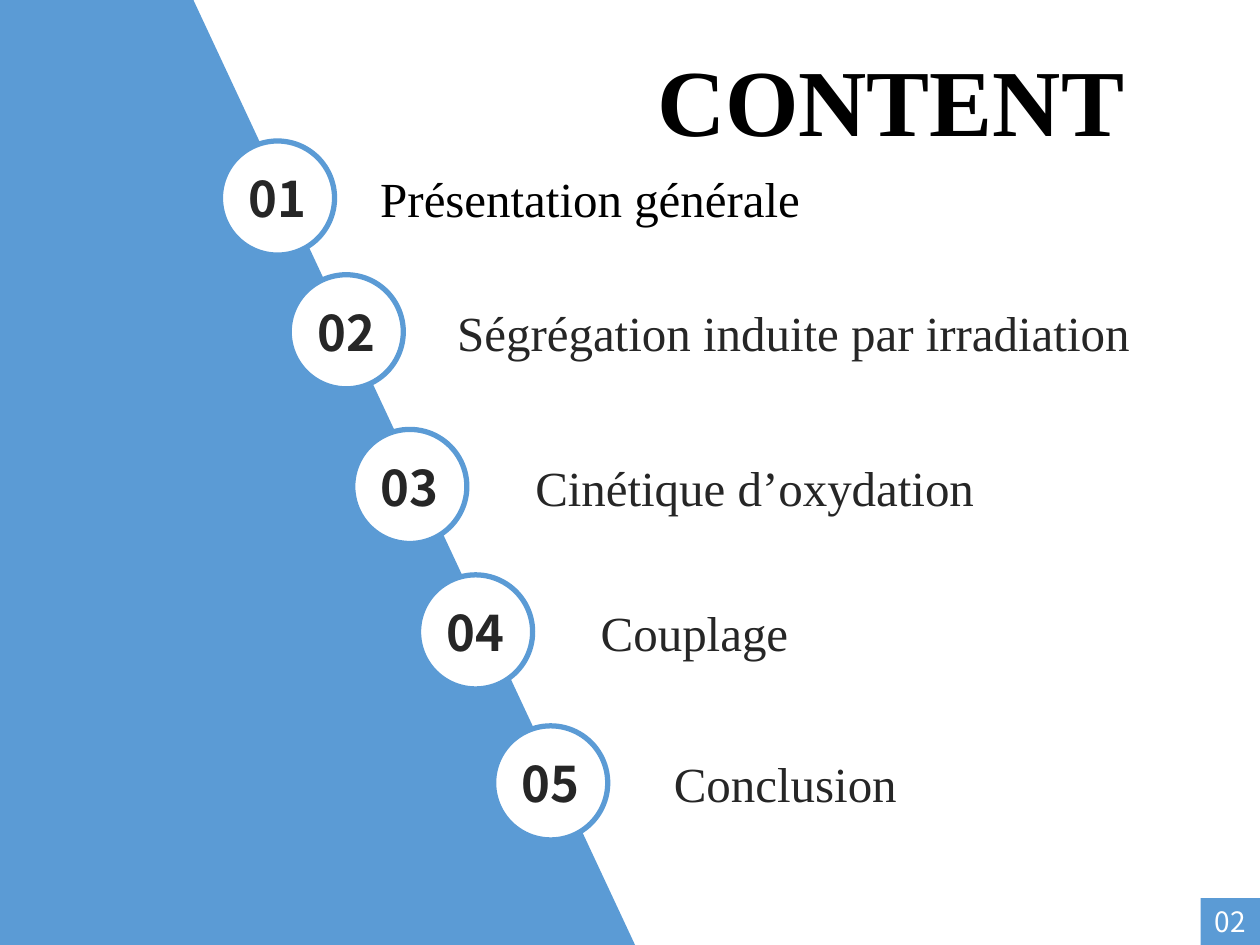
from dataclasses import dataclass

from pptx import Presentation
from pptx.dml.color import RGBColor as RGB
from pptx.enum.shapes import MSO_SHAPE as Kind
from pptx.enum.text import MSO_ANCHOR as Anchor, MSO_AUTO_SIZE as Fit, PP_ALIGN as Align
from pptx.util import Pt


@dataclass(frozen=True)
class Theme:
    blue: RGB = RGB(0x5B, 0x9B, 0xD5)
    dark: RGB = RGB(0x26, 0x26, 0x26)
    black: RGB = RGB(0, 0, 0)
    white: RGB = RGB(0xFF, 0xFF, 0xFF)
    serif: str = "Times New Roman"
    sans: str = "Noto Sans CJK SC"
    head: int = 54
    body: int = 28
    page: int = 16


T = Theme()
DISC = 65.2

# Disc left and top, text left and width, text, colour
ITEMS = [
    (126, 80.6, 210.2, 275, "Présentation générale", T.black),
    (165.3, 157, 254.2, 402, "Ségrégation induite par irradiation", T.dark),
    (201.6, 245.4, 298.8, 272, "Cinétique d’oxydation", T.dark),
    (239.2, 328.5, 336.2, 143, "Couplage", T.dark),
    (282.1, 414.8, 378, 163, "Conclusion", T.dark),
]


def write(shape, text, font, size, color, bold=False, align=Align.CENTER):
    frame = shape.text_frame
    frame.text = text
    frame.word_wrap = True
    frame.auto_size = Fit.NONE
    frame.vertical_anchor = Anchor.MIDDLE
    para = frame.paragraphs[0]
    para.alignment = align
    face = para.runs[0].font
    face.name, face.size, face.bold = font, Pt(size), bold
    face.color.rgb = color


def add_title(slide, text):
    title = slide.shapes.title
    title.left, title.top = Pt(343.4), Pt(20.2)
    title.width, title.height = Pt(331.2), Pt(72.7)
    write(title, text, T.serif, T.head, T.black, bold=True)


def add_panel(slide):
    pen = slide.shapes.build_freeform(Pt(-2), Pt(-0.7))
    pen.add_line_segments(
        [(Pt(110.2), Pt(-0.7)), (Pt(362.9), Pt(540)), (Pt(-2), Pt(543))])
    panel = pen.convert_to_shape()
    panel.shadow.inherit = False
    panel.fill.solid()
    panel.fill.fore_color.rgb = T.blue
    panel.line.fill.background()


def add_mark(slide, kind, box, fill, text, size, color, bold=False):
    mark = slide.shapes.add_shape(kind, *map(Pt, box))
    mark.shadow.inherit = False
    mark.fill.solid()
    mark.fill.fore_color.rgb = fill
    mark.line.fill.background()
    frame = mark.text_frame
    frame.margin_left = frame.margin_right = 0
    frame.margin_top = frame.margin_bottom = 0
    write(mark, text, T.sans, size, color, bold)
    return mark


def add_item(slide, num, item):
    left, top, start, width, text, color = item
    disc = add_mark(slide, Kind.OVAL, (left, top, DISC, DISC), T.white,
                    f"{num:02}", T.body, T.dark, bold=True)
    disc.line.color.rgb = T.blue
    disc.line.width = Pt(3)
    high = 41
    box = slide.shapes.add_textbox(
        Pt(start), Pt(top + (DISC - high) / 2), Pt(width), Pt(high))
    write(box, text, T.serif, T.body, color, align=Align.LEFT)


def main():
    deck = Presentation()
    deck.slide_width, deck.slide_height = Pt(720), Pt(540)
    slide = deck.slides.add_slide(deck.slide_layouts[5])

    # Title and slanted side panel
    add_title(slide, "CONTENT")
    add_panel(slide)

    # Numbered contents
    for num, item in enumerate(ITEMS, 1):
        add_item(slide, num, item)

    # Page number
    add_mark(slide, Kind.RECTANGLE, (686, 513.3, 34, 26.7), T.blue,
             "02", T.page, T.white)

    deck.save("out.pptx")


if __name__ == "__main__":
    main()
